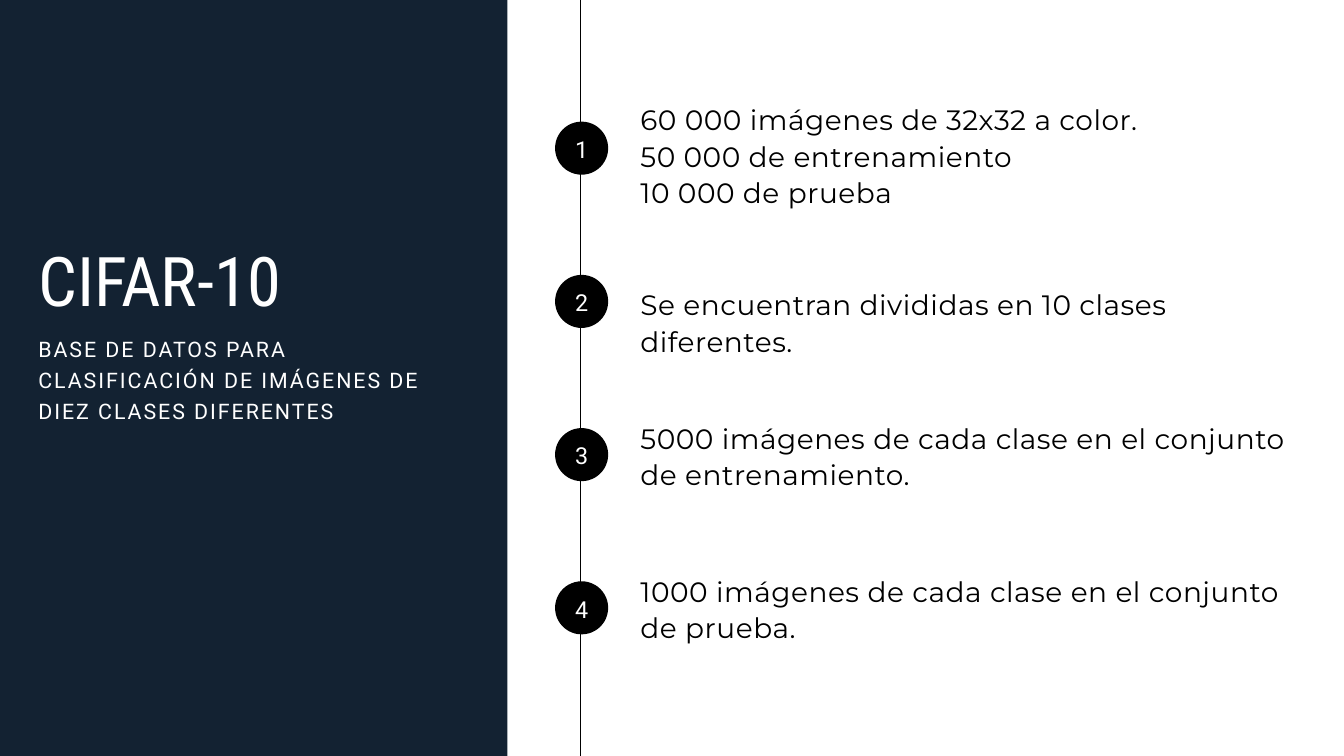
from lxml.etree import SubElement
from pptx import Presentation
from pptx.dml.color import RGBColor
from pptx.enum.shapes import MSO_CONNECTOR, MSO_SHAPE
from pptx.enum.text import MSO_ANCHOR, MSO_AUTO_SIZE, PP_ALIGN
from pptx.oxml.ns import qn
from pptx.util import Emu, Pt

PX = 9144
COLORS = {"navy": "132232", "black": "000000", "white": "FFFFFF"}
STYLES = {
    "title": {"name": "Roboto Condensed", "size": 73.4, "color": "white", "line": 84.4, "spc": 0},
    "subtitle": {"name": "Roboto", "size": 22.9, "color": "white", "line": 33.3, "spc": 2.1},
    "number": {"name": "Roboto", "size": 25, "color": "white", "line": 36.2, "spc": 2.3},
    "body": {"name": "Montserrat", "size": 30, "color": "black", "line": 39.3, "spc": 0.6},
}
STEPS = [
    (-33, 161, ["60 000 imágenes de 32x32 a color.", "50 000 de entrenamiento", "10 000 de prueba"]),
    (15, 107, ["Se encuentran divididas en 10 clases diferentes."]),
    (-15, 107, ["5000 imágenes de cada clase en el conjunto de entrenamiento."]),
    (-15, 107, ["1000 imágenes de cada clase en el conjunto de prueba."]),
]


def emu(*lengths):
    """Turn px lengths into EMU."""
    return [Emu(n * PX) for n in lengths]


def rgb(key):
    """Look up a named colour."""
    return RGBColor.from_string(COLORS[key])


def set_text(sp, lines, style, align=PP_ALIGN.LEFT, **frame):
    """Write lines into a shape with one of the text styles."""
    fmt = STYLES[style]
    tf = sp.text_frame
    settings = {"word_wrap": True, "auto_size": MSO_AUTO_SIZE.NONE, "vertical_anchor": MSO_ANCHOR.TOP,
                "margin_left": 0, "margin_right": 0, "margin_top": 0, "margin_bottom": 0, **frame}
    for key, value in settings.items():
        setattr(tf, key, value)
    for i, line in enumerate(lines):
        p = tf.add_paragraph() if i else tf.paragraphs[0]
        p.alignment, p.line_spacing = align, Pt(fmt["line"])
        r = p.add_run()
        r.text = line
        for key, value in {"name": fmt["name"], "size": Pt(fmt["size"]), "bold": False}.items():
            setattr(r.font, key, value)
        r.font.color.rgb = rgb(fmt["color"])
        r._r.get_or_add_rPr().set("spc", str(round(fmt["spc"] * 100)))


def add_filled(slide, kind, box, color):
    """Add a flat preset shape without outline."""
    sp = slide.shapes.add_shape(kind, *emu(*box))
    sp.shadow.inherit = False
    sp.fill.solid()
    sp.fill.fore_color.rgb = rgb(color)
    sp.line.fill.background()
    return sp


def add_text(slide, box, lines, style):
    """Add a wrapped text box."""
    set_text(slide.shapes.add_textbox(*emu(*box)), lines, style)


def add_title_panel(slide, x, y, w, h):
    """Draw the dark side panel with title and subtitle."""
    add_filled(slide, MSO_SHAPE.RECTANGLE, (x, y, w, h), "navy")
    title = slide.shapes.title
    slide.shapes._spTree.append(title._element)
    title.left, title.top, title.width, title.height = emu(x + 57, y + 360, 641, 119)
    set_text(title, ["CIFAR-10"], "title")
    add_text(slide, (x + 57, y + 492, 578, 135),
             ["BASE DE DATOS PARA CLASIFICACIÓN DE IMÁGENES DE DIEZ CLASES DIFERENTES"], "subtitle")


def add_timeline(slide, x, y, h, first=181, pitch=228, dot=79):
    """Draw the vertical line with its numbered steps."""
    line = slide.shapes.add_connector(MSO_CONNECTOR.STRAIGHT, *emu(x + 38, y + h, x + 38, y))
    line.line.color.rgb = rgb("black")
    line.line.width = Pt(0.75)
    SubElement(line._element.spPr, qn("a:effectLst"))
    for i, (offset, height, lines) in enumerate(STEPS):
        top = y + first + i * pitch
        sp = add_filled(slide, MSO_SHAPE.OVAL, (x, top, dot, dot), "black")
        set_text(sp, [str(i + 1)], "number", PP_ALIGN.CENTER, word_wrap=False,
                 vertical_anchor=MSO_ANCHOR.MIDDLE, margin_bottom=Emu(6 * PX))
        add_text(slide, (x + 127, top + offset, 1012, height), lines, "body")


def main():
    """Build and save the slide."""
    prs = Presentation()
    prs.slide_width, prs.slide_height = emu(2000, 1125)
    slide = prs.slides.add_slide(prs.slide_layouts[5])
    slide.background.fill.solid()
    slide.background.fill.fore_color.rgb = rgb("white")
    add_title_panel(slide, 0, 0, 755, 1125)
    add_timeline(slide, 826, 0, 1125)
    prs.save("out.pptx")


if __name__ == "__main__":
    main()
